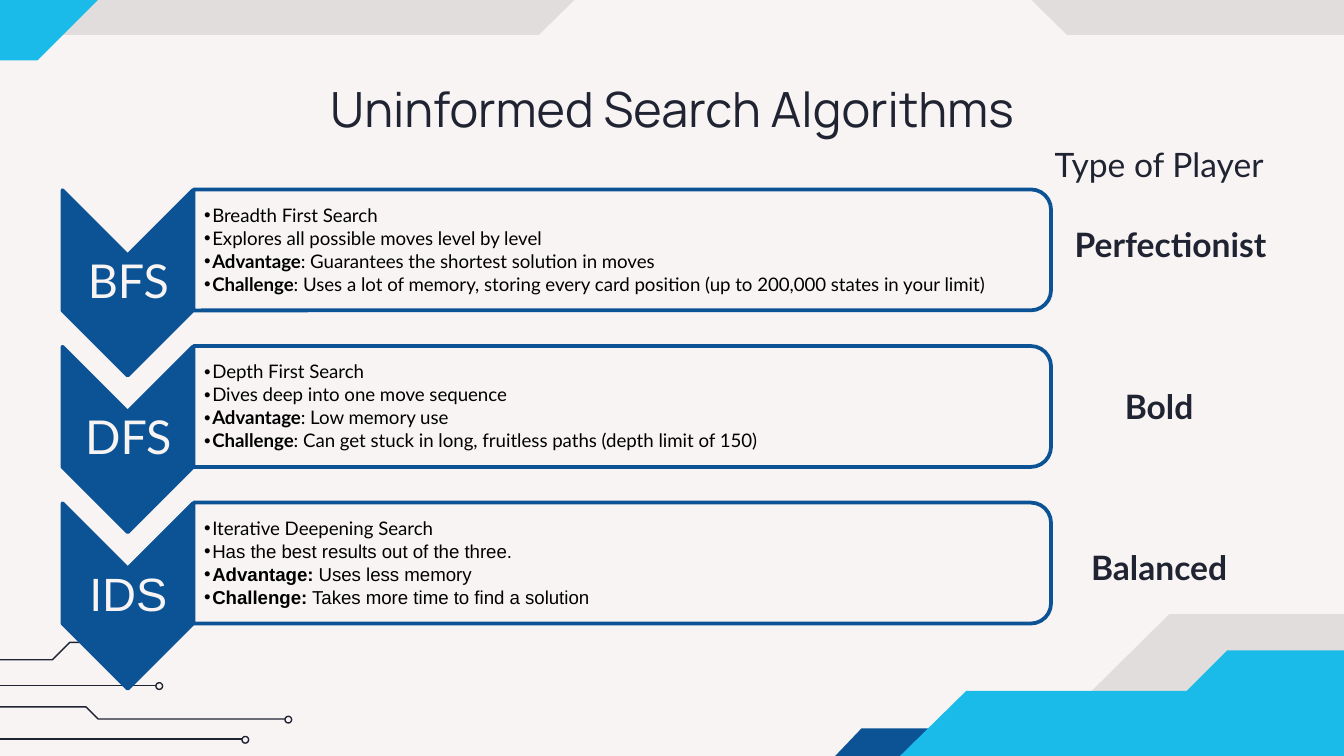
"""Build a slide comparing three uninformed search algorithms."""
from dataclasses import dataclass

from lxml import etree
from pptx import Presentation
from pptx.dml.color import RGBColor
from pptx.enum.shapes import MSO_CONNECTOR, MSO_SHAPE
from pptx.enum.text import MSO_ANCHOR, PP_ALIGN
from pptx.oxml.ns import qn
from pptx.util import Inches, Pt

CENTER, LEFT = PP_ALIGN.CENTER, PP_ALIGN.LEFT
TOP, MIDDLE = MSO_ANCHOR.TOP, MSO_ANCHOR.MIDDLE
CHEVRON, PANEL, CIRCLE = MSO_SHAPE.CHEVRON, MSO_SHAPE.ROUND_2_SAME_RECTANGLE, MSO_SHAPE.OVAL
STRAIGHT = MSO_CONNECTOR.STRAIGHT


@dataclass(frozen=True)
class Theme:
    paper: str = "F8F4F4"
    ink: str = "202331"
    black: str = "000000"
    blue: str = "0B5394"
    cyan: str = "1BBBE9"
    heading: str = "Manrope"
    body: str = "Lato"
    plain: str = "Arial"
    title_size: int = 26
    label_size: int = 25
    player_size: int = 18
    bullet_size: int = 10


theme = Theme()


def paint(shape, fill=None, opacity=100, line=None, width=0.75):
    shape.shadow.inherit = False
    if fill:
        shape.fill.solid()
        shape.fill.fore_color.rgb = RGBColor.from_string(fill)
        if opacity < 100:
            color = shape._element.spPr.find(qn("a:solidFill"))[0]
            etree.SubElement(color, qn("a:alpha")).set("val", str(opacity * 1000))
    else:
        shape.fill.background()
    if line:
        shape.line.color.rgb = RGBColor.from_string(line)
        shape.line.width = Pt(width)
    else:
        shape.line.fill.background()


def add_text(bounds, insets, anchor, size, color, paragraphs, bullet=False):
    frame = page.shapes.add_textbox(*map(Inches, bounds)).text_frame
    frame.word_wrap = True
    frame.vertical_anchor = anchor
    for side, inset in zip(("left", "top", "right", "bottom"), insets):
        setattr(frame, f"margin_{side}", Inches(inset))
    for index, (spans, formats) in enumerate(paragraphs):
        para = frame.add_paragraph() if index else frame.paragraphs[0]
        properties = para._p.get_or_add_pPr()
        if bullet:
            properties.set("marL", str(Inches(0.06)))
            properties.set("indent", str(Inches(-0.06)))
            bullet_color = etree.SubElement(properties, qn("a:buClr"))
            etree.SubElement(bullet_color, qn("a:srgbClr")).set("val", color)
            etree.SubElement(properties, qn("a:buFont")).set("typeface", theme.plain)
            etree.SubElement(properties, qn("a:buChar")).set("char", "•")
        for name, value in formats.items():
            setattr(para, name, value)
        for text, font, bold in spans:
            span = para.add_run()
            span.text = text
            span.font.color.rgb = RGBColor.from_string(color)
            for name, value in {"name": font, "size": Pt(size), "bold": bold}.items():
                setattr(span.font, name, value)
    return frame


deck = Presentation()
deck.slide_width, deck.slide_height = Inches(10), Inches(10 * 9 / 16)
page = deck.slides.add_slide(deck.slide_layouts[6])
page.background.fill.solid()
page.background.fill.fore_color.rgb = RGBColor.from_string(theme.paper)

bands = [
    (theme.black, 9, [(8.7, 4.57), (7.58, 5.68), (7.26, 5.68), (7.26, 6.25),
                      (10.33, 6.25), (10.33, 4.57)]),
    (theme.black, 9, [(7.94, 0.26), (6.82, -0.84), (5.13, -0.84), (4.01, 0.26),
                      (-0.12, 0.26), (-0.12, -1.8), (10.12, -1.8), (10.12, 0.26)]),
    (theme.blue, 100, [(6.21, 5.63), (6.41, 5.42), (7.31, 5.42), (7.11, 5.63)]),
    (theme.cyan, 100, [(11.48, 4.84), (11.48, 8.14), (5.89, 8.14), (5.89, 5.72),
                       (6.6, 5.72), (7.19, 5.14), (8.83, 5.14), (9.13, 4.84)]),
    (theme.cyan, 100, [(0.28, 0.45), (1.4, -0.67), (1.72, -0.67), (1.72, -1.24),
                       (-1.34, -1.24), (-1.34, 0.45)]),
]
for color, opacity, points in bands:
    corners = [(Inches(x), Inches(y)) for x, y in points]
    builder = page.shapes.build_freeform(*corners[0])
    builder.add_line_segments(corners[1:], close=True)
    paint(builder.convert_to_shape(), color, opacity)

traces = [
    [(-0.5, 5.1), (1.16, 5.1)],
    [(-0.87, 4.91), (0.39, 4.91), (0.52, 4.78), (0.79, 4.78)],
    [(-1.19, 5.26), (0.64, 5.26), (0.73, 5.35), (2.12, 5.35)],
    [(-1.44, 5.5), (1.8, 5.5)],
]
for points in traces:
    corners = [(Inches(x), Inches(y)) for x, y in points]
    if len(corners) == 2:
        wire = page.shapes.add_connector(STRAIGHT, *corners[0], *corners[1])
        wire.line.color.rgb = RGBColor.from_string(theme.ink)
        wire.line.width = Pt(0.75)
        etree.SubElement(wire._element.spPr, qn("a:effectLst"))
    else:
        builder = page.shapes.build_freeform(*corners[0])
        builder.add_line_segments(corners[1:], close=False)
        paint(builder.convert_to_shape(), line=theme.ink)
    end_x, end_y = points[-1]
    node = page.shapes.add_shape(
        CIRCLE, Inches(end_x), Inches(end_y - 0.02), Inches(0.05), Inches(0.05))
    paint(node, line=theme.ink)

add_text((0.79, 0.49, 8.43, 0.63), (0.1,) * 4, TOP, theme.title_size, theme.ink,
         [([("Uninformed Search Algorithms", theme.heading, False)], {"alignment": CENTER})])

algorithms = [
    ("BFS", theme.body, "Breadth First Search", "Explores all possible moves level by level",
     ("Advantage", ": Guarantees the shortest solution in moves"),
     ("Challenge", ": Uses a lot of memory, storing every card position "
                   "(up to 200,000 states in your limit)")),
    ("DFS", theme.body, "Depth First Search", "Dives deep into one move sequence",
     ("Advantage", ": Low memory use"),
     ("Challenge", ": Can get stuck in long, fruitless paths (depth limit of 150)")),
    ("IDS", theme.plain, "Iterative Deepening Search", "Has the best results out of the three.",
     ("Advantage:", " Uses less memory"),
     ("Challenge:", " Takes more time to find a solution")),
]
bullet_format = {"alignment": LEFT, "level": 1, "line_spacing": 0.9, "space_after": Pt(1.5)}
for index, (label, font, full_name, summary, *points) in enumerate(algorithms):
    offset = index * 2.33 / 2
    arrow = page.shapes.add_shape(
        CHEVRON, Inches(0.26), Inches(1.62 + offset), Inches(1.38), Inches(0.97))
    panel = page.shapes.add_shape(
        PANEL, Inches(4.18), Inches(-1.33 + offset), Inches(0.9), Inches(6.38))
    for shape, fill, opacity in ((arrow, theme.blue, 100), (panel, theme.paper, 90)):
        shape.rotation = 90
        paint(shape, fill, opacity, theme.blue, 2)
    add_text((0.47, 1.9 + offset, 0.97, 0.41), (0.02,) * 4, MIDDLE,
             theme.label_size, theme.paper,
             [([(label, font, False)], {"alignment": CENTER, "line_spacing": 0.9})])
    lines = [[(full_name, theme.body, False)], [(summary, font, False)]]
    lines += [[(lead, font, True), (rest, font, False)] for lead, rest in points]
    add_text((1.44, 1.46 + offset, 6.34, 0.81), (0.08, 0.01, 0.01, 0.01), MIDDLE,
             theme.bullet_size, theme.black,
             [(spans, bullet_format) for spans in lines], bullet=True)

players = [("Type of Player", False, 0), ("Perfectionist", True, 21.6),
           ("Bold", True, 64.8), ("Balanced", True, 64.8)]
player_frame = add_text(
    (7.61, 0.97, 2.03, 3.7), (0.1,) * 4, TOP, theme.player_size, theme.ink,
    [([(text, theme.body, bold)], {"alignment": CENTER, "space_before": Pt(gap)})
     for text, bold, gap in players])
perfectionist = player_frame.paragraphs[1]._p.get_or_add_pPr()
for name, length in {"marL": 0.5, "indent": -0.33}.items():
    perfectionist.set(name, str(Inches(length)))

deck.save("out.pptx")
